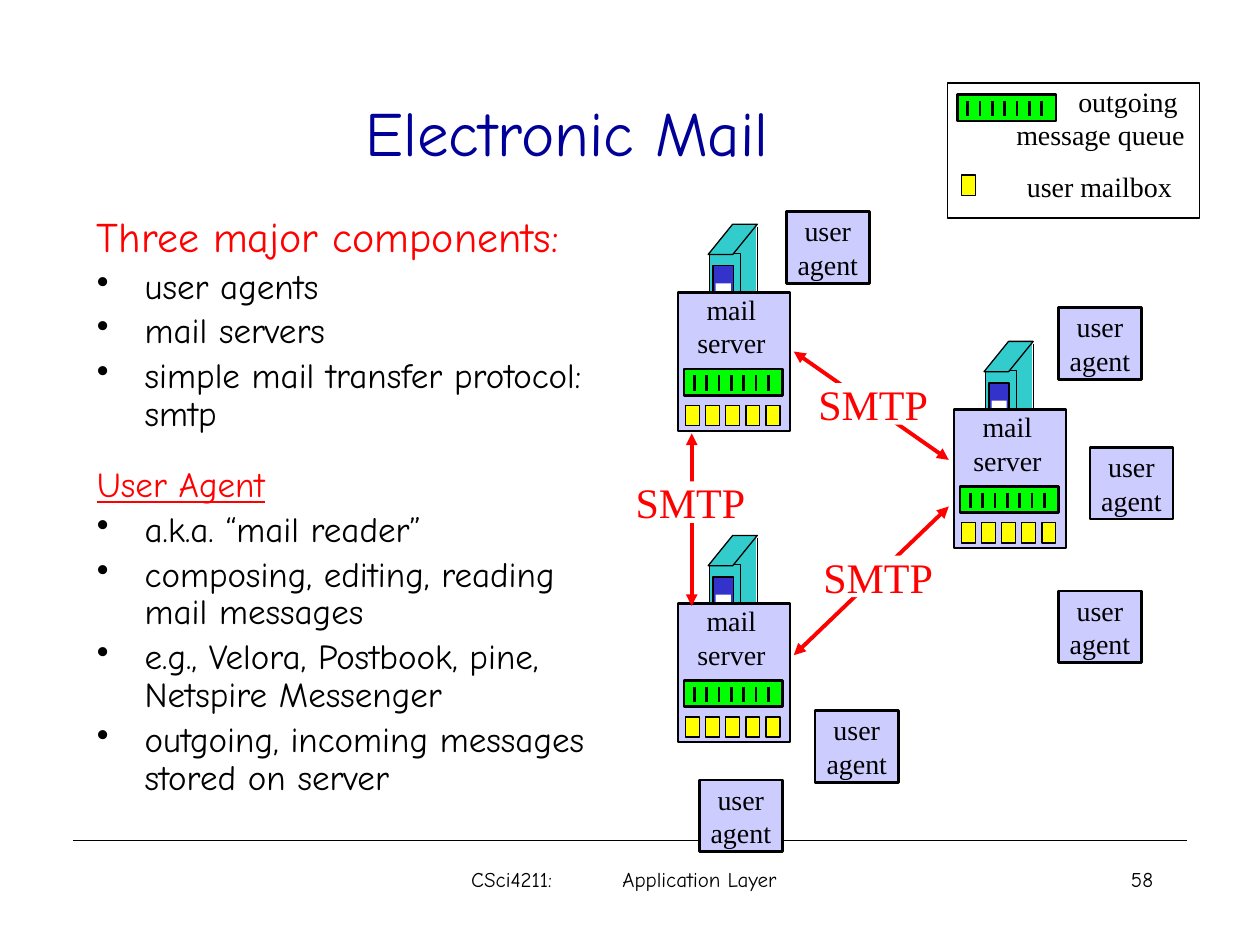
from lxml import etree
from pptx import Presentation
from pptx import util as u
from pptx.dml.color import RGBColor
from pptx.enum import shapes, text
from pptx.oxml.ns import qn

COMIC, TIMES = "Comic Neue", "Times New Roman"
BLACK, WHITE, RED, NAVY = "000000", "FFFFFF", "FF0000", "000099"
LILAC, TEAL, BLUE, GREEN, YELLOW = "CCCCFF", "33CCCC", "3333CC", "00FF00", "FFFF00"

SERVERS = [(5.38, 2.32), (7.57, 3.25), (5.38, 4.79)]
AGENTS = [(6.24, 1.68), (8.4, 2.44), (8.65, 3.55), (8.4, 4.69), (6.47, 5.64), (5.55, 6.19)]
ARROWS = [((6.3, 2.79), (7.53, 3.65)), ((6.3, 5.2), (7.53, 4.02)), ((5.49, 4.81), (5.49, 3.44))]
SMTP_LABELS = [(6.5, 4.41), (6.46, 3.04), (5.01, 3.82)]

SECTIONS = [
    ("Three major components:", 24, False,
     ["user agents", "mail servers", "simple mail transfer protocol: smtp"]),
    ("User Agent", 20, True,
     ["a.k.a. “mail reader”", "composing, editing, reading mail messages",
      "e.g., Velora, Postbook, pine, Netspire Messenger",
      "outgoing, incoming messages stored on server"]),
]


def color(value):
    return RGBColor.from_string(value)


def inches(*values):
    return [u.Inches(value) for value in values]


def set_font(para, name, size, ink):
    para.font.name, para.font.size = name, u.Pt(size)
    para.font.color.rgb = color(ink)


def write(frame, lines, font, size, ink, align=text.PP_ALIGN.CENTER):
    for index, line in enumerate(lines):
        para = frame.add_paragraph() if index else frame.paragraphs[0]
        para.text, para.alignment = line, align
        set_font(para, font, size, ink)


def add_label(slide, place, lines, font, size, ink=BLACK, align=text.PP_ALIGN.CENTER):
    box = slide.shapes.add_textbox(*inches(*place))
    write(box.text_frame, lines, font, size, ink, align)
    return box


def add_block(slide, place, fill=None, weight=0, kind=shapes.MSO_SHAPE.RECTANGLE):
    block = slide.shapes.add_shape(kind, *inches(*place))
    block.shadow.inherit = False
    if fill:
        block.fill.solid()
        block.fill.fore_color.rgb = color(fill)
    else:
        block.fill.background()
    if weight:
        block.line.color.rgb, block.line.width = color(BLACK), u.Pt(weight)
    else:
        block.line.fill.background()
    return block


def fill_text(block, lines, size, ink=BLACK, anchor=text.MSO_ANCHOR.MIDDLE):
    frame = block.text_frame
    frame.margin_left = frame.margin_right = frame.margin_top = frame.margin_bottom = 0
    frame.word_wrap, frame.vertical_anchor = False, anchor
    write(frame, lines, TIMES, size, ink)


def add_line(slide, start, end, ink=BLACK, weight=0.75, arrows=False):
    line = slide.shapes.add_connector(shapes.MSO_CONNECTOR.STRAIGHT, *inches(*start, *end))
    line.line.color.rgb, line.line.width = color(ink), u.Pt(weight)
    if arrows:
        for end_tag in ("a:headEnd", "a:tailEnd"):
            etree.SubElement(line.line._get_or_add_ln(), qn(end_tag), type="triangle")
    etree.SubElement(line._element.spPr, qn("a:effectLst"))


def add_queue(slide, left, top):
    add_block(slide, (left, top, 0.78, 0.21), GREEN, 1.5)
    for index in range(7):
        x = left + 0.08 + index * 0.098
        add_line(slide, (x, top + 0.05), (x, top + 0.17), weight=1.5)


def add_mailbox(slide, left, top):
    add_block(slide, (left, top, 0.11, 0.16), YELLOW, 0.75)


def add_server(slide, left, top):
    """Draw a computer tower behind a panel with its queue and mailboxes."""
    add_block(slide, (left + 0.44, top - 0.53, 0.18, 0.78), TEAL)
    add_block(slide, (left + 0.25, top - 0.31, 0.25, 0.78), TEAL, 0.75)
    roof = add_block(slide, (left + 0.24, top - 0.54, 0.39, 0.24), TEAL, 0.75,
                     shapes.MSO_SHAPE.PARALLELOGRAM)
    roof.adjustments[0] = 0.81
    add_line(slide, (left + 0.63, top - 0.52), (left + 0.63, top + 0.25))
    add_block(slide, (left + 0.28, top - 0.21, 0.16, 0.45), BLUE, 0.75)
    add_block(slide, (left + 0.3, top - 0.07, 0.12, 0.16), WHITE)
    panel = add_block(slide, (left, top, 0.89, 1.1), LILAC, 1.5)
    fill_text(panel, ["mail", "server"], 16, anchor=text.MSO_ANCHOR.TOP)
    panel.text_frame.margin_right = u.Inches(0.04)
    add_queue(slide, left + 0.05, top + 0.61)
    for index in range(5):
        add_mailbox(slide, left + 0.06 + index * 0.16, top + 0.9)


def add_legend(slide):
    add_block(slide, (7.52, 0.66, 2, 1.07), weight=0.75)
    add_queue(slide, 7.6, 0.75)
    add_mailbox(slide, 7.63, 1.39)
    add_label(slide, (7.78, 0.62, 1.72, 0.64), ["outgoing ", "message queue"], TIMES, 16,
              align=text.PP_ALIGN.RIGHT)
    add_label(slide, (7.97, 1.3, 1.51, 0.37), ["user mailbox"], TIMES, 16)


def add_point(frame, line, size, ink, bullet):
    first = not frame.paragraphs[0].runs
    para = frame.paragraphs[0] if first else frame.add_paragraph()
    para.text, para.line_spacing = line, 0.9
    if not first:
        para.space_before = u.Pt(4)
    props = para._p.get_or_add_pPr()
    props.set("marL", str(u.Inches(0.38)))
    props.set("indent", str(u.Inches(-0.38)))
    if bullet:
        etree.SubElement(props, qn("a:buChar"), char="•")
    else:
        etree.SubElement(props, qn("a:buNone"))
    set_font(para, COMIC, size, ink)
    return para


def add_outline(slide):
    frame = slide.shapes.add_textbox(*inches(0.67, 1.67, 4.3, 4.5)).text_frame
    frame.word_wrap = True
    for heading, size, underlined, points in SECTIONS:
        para = add_point(frame, heading, size, RED, False)
        if underlined:
            para.font.underline = True
            para.space_before = u.Pt(19)
        for point in points:
            add_point(frame, point, 20, BLACK, True)


def add_footer(slide):
    add_line(slide, (0.58, 6.67), (9.42, 6.67))
    course = slide.shapes.add_textbox(*inches(3.33, 6.83, 3.25, 0.5))
    frame = course.text_frame
    frame.margin_left = u.Inches(0.41)
    props = frame.paragraphs[0]._p.get_or_add_pPr()
    stops = etree.SubElement(props, qn("a:tabLst"))
    etree.SubElement(stops, qn("a:tab"), pos=str(u.Inches(1.2)), algn="l")
    write(frame, ["CSci4211:\tApplication Layer"], COMIC, 12, BLACK, text.PP_ALIGN.LEFT)
    number = add_label(slide, (7.17, 6.83, 2.08, 0.5), ["58"], COMIC, 12,
                       align=text.PP_ALIGN.RIGHT)
    number.text_frame.word_wrap = True


def add_title(slide):
    title = slide.shapes.title
    title.left, title.top, title.width, title.height = inches(0.25, 0.42, 8.5, 1.25)
    title.text_frame.vertical_anchor = text.MSO_ANCHOR.MIDDLE
    write(title.text_frame, ["Electronic Mail"], COMIC, 36, NAVY)


def main():
    deck = Presentation()
    deck.slide_width, deck.slide_height = inches(10, 7.5)
    slide = deck.slides.add_slide(deck.slide_layouts[5])
    add_title(slide)
    add_footer(slide)
    add_outline(slide)
    add_legend(slide)
    for left, top in SERVERS:
        add_server(slide, left, top)
    for left, top in AGENTS:
        agent = add_block(slide, (left, top, 0.66, 0.57), LILAC, 1.5)
        fill_text(agent, ["user", "agent"], 16)
    for start, end in ARROWS:
        add_line(slide, start, end, RED, 2.25, arrows=True)
    for left, top in SMTP_LABELS:
        fill_text(add_block(slide, (left, top, 0.94, 0.33), WHITE), ["SMTP"], 24, RED)
    deck.save("out.pptx")


if __name__ == "__main__":
    main()
